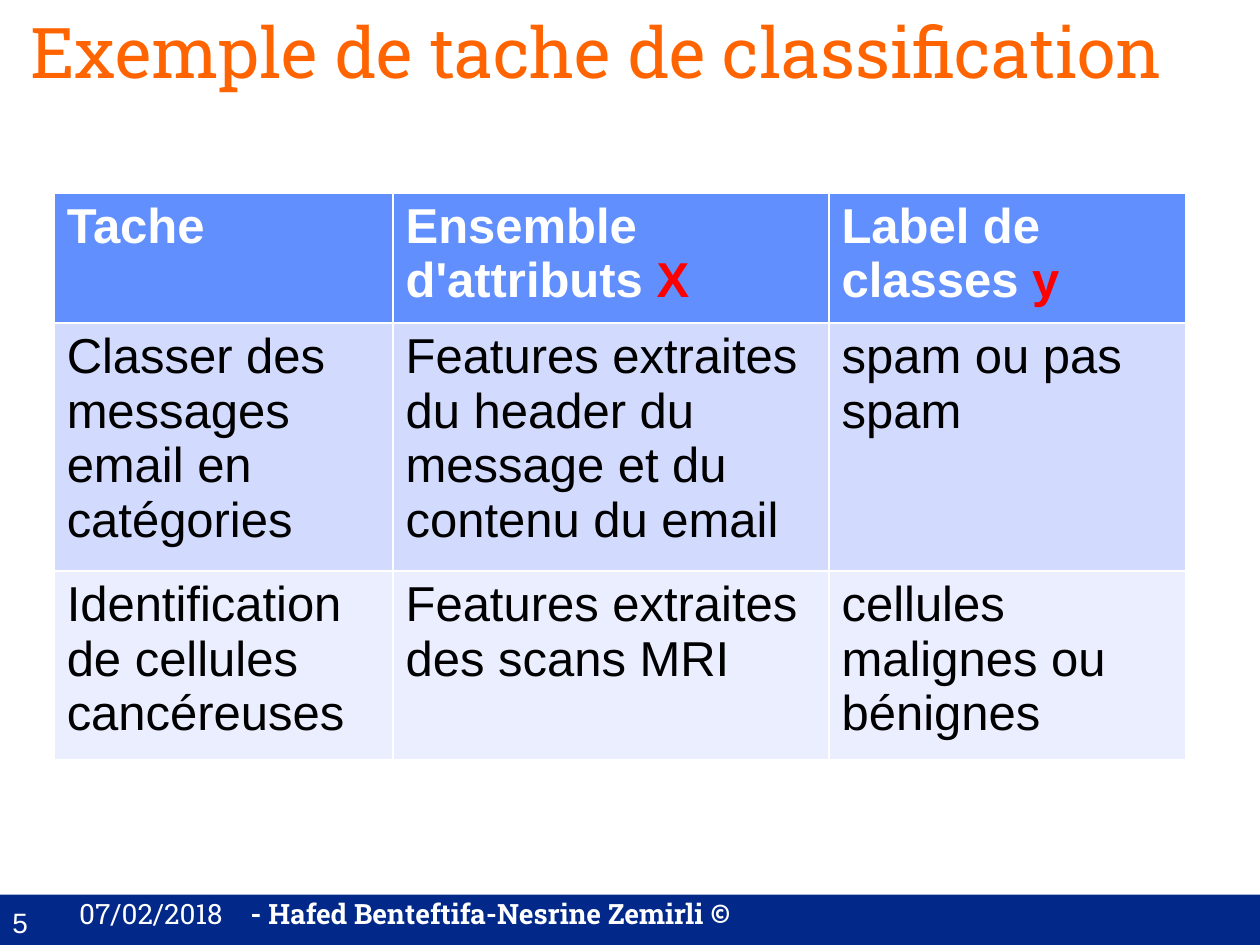
from lxml import etree
from pptx import Presentation
from pptx.dml.color import RGBColor
from pptx.enum.shapes import MSO_SHAPE
from pptx.enum.text import MSO_ANCHOR, PP_ALIGN
from pptx.oxml.ns import qn
from pptx.util import Inches, Pt

RECTANGLE = MSO_SHAPE.RECTANGLE
TOP = MSO_ANCHOR.TOP
LEFT = PP_ALIGN.LEFT
TITLE_ONLY = 5
WHITE, BLACK, RED, ORANGE, NAVY = "FFFFFF", "000000", "FF0000", "FF6400", "02298A"
ROW_FILLS = ["618FFD", "D2DBFE", "EAEEFF"]
COLUMN_WIDTHS = [2.69, 3.46, 2.83]
ROW_HEIGHTS = [0.96, 1.83, 1.4]
ROWS = [
    [("Tache", ""), ("Ensemble d'attributs ", "X"), ("Label de classes ", "y")],
    [("Classer des messages email en catégories", ""),
     ("Features extraites du header du message et du contenu du email", ""),
     ("spam ou pas spam", "")],
    [("Identification de cellules cancéreuses", ""),
     ("Features extraites des scans MRI", ""),
     ("cellules malignes ou bénignes", "")],
]


def color(hex_value):
    return RGBColor.from_string(hex_value)


def style(font, name, size, hex_value, bold=False):
    font.name = name
    font.size = Pt(size)
    font.color.rgb = color(hex_value)
    font.bold = bold


def place(shape, left, top, width, height):
    shape.left, shape.top = Inches(left), Inches(top)
    shape.width, shape.height = Inches(width), Inches(height)


def add_title(page, text):
    title = page.shapes.title
    place(title, 0.14, 0.05, 9.68, 0.93)
    frame = title.text_frame
    frame.text = text
    frame.vertical_anchor = TOP
    frame.margin_top = Inches(0.02)
    para = frame.paragraphs[0]
    para.alignment = LEFT
    style(para.font, "Roboto Slab", 40, ORANGE)


def add_bar(page):
    bar = page.shapes.add_shape(RECTANGLE, 0, Inches(7.1), Inches(10), Inches(0.4))
    bar.shadow.inherit = False
    bar.fill.solid()
    bar.fill.fore_color.rgb = color(NAVY)
    bar.line.fill.background()


def add_footer_text(page, left, top, width, font_name):
    box = page.shapes.add_textbox(Inches(left), Inches(top), Inches(width), Inches(0.64))
    box.text_frame.word_wrap = True
    para = box.text_frame.paragraphs[0]
    style(para.font, font_name, 16, WHITE)
    return para


def add_span(para, text, bold=None, font_name=None):
    span = para.add_run()
    span.text = text
    span.font.bold = bold
    span.font.name = font_name
    return span


def add_tab_stop(para, position):
    properties = para._p.get_or_add_pPr()
    tabs = etree.Element(qn("a:tabLst"))
    etree.SubElement(tabs, qn("a:tab"), pos=str(Inches(position)), algn="l")
    properties.insert(0, tabs)


def add_footer(page):
    add_bar(page)
    add_span(add_footer_text(page, 0, 7.14, 0.58, "Arial"), "5")
    para = add_footer_text(page, 0.53, 7.07, 9.47, "Roboto Slab")
    add_tab_stop(para, 1.36)
    add_span(para, "07/02/2018\t")
    add_span(para, "- Hafed Benteftifa-Nesrine Zemirli ", True)
    add_span(para, "©", True, "Cabin")


def fill_cell(cell, text, symbol, fill, is_header):
    cell.fill.solid()
    cell.fill.fore_color.rgb = color(fill)
    para = cell.text_frame.paragraphs[0]
    style(para.font, "Arial", 28, WHITE if is_header else BLACK, is_header)
    span = add_span(para, text)
    style(span.font, "Arial", 28, WHITE if is_header else BLACK, is_header)
    if symbol:
        style(add_span(para, symbol).font, "Arial", 28, RED, is_header)


def add_task_table(page):
    frame = page.shapes.add_table(
        len(ROWS), len(COLUMN_WIDTHS), Inches(0.43), Inches(1.53),
        Inches(sum(COLUMN_WIDTHS)), Inches(sum(ROW_HEIGHTS)))
    table = frame.table
    for column, width in zip(table.columns, COLUMN_WIDTHS):
        column.width = Inches(width)
    for index, (row, height) in enumerate(zip(table.rows, ROW_HEIGHTS)):
        row.height = Inches(height)
        for cell, (text, symbol) in zip(row.cells, ROWS[index]):
            fill_cell(cell, text, symbol, ROW_FILLS[index], index == 0)


def main():
    deck = Presentation()
    deck.slide_width, deck.slide_height = Inches(10), Inches(7.5)
    page = deck.slides.add_slide(deck.slide_layouts[TITLE_ONLY])
    add_footer(page)
    add_title(page, "Exemple de tache de classification")
    add_task_table(page)
    deck.save("out.pptx")


if __name__ == "__main__":
    main()
